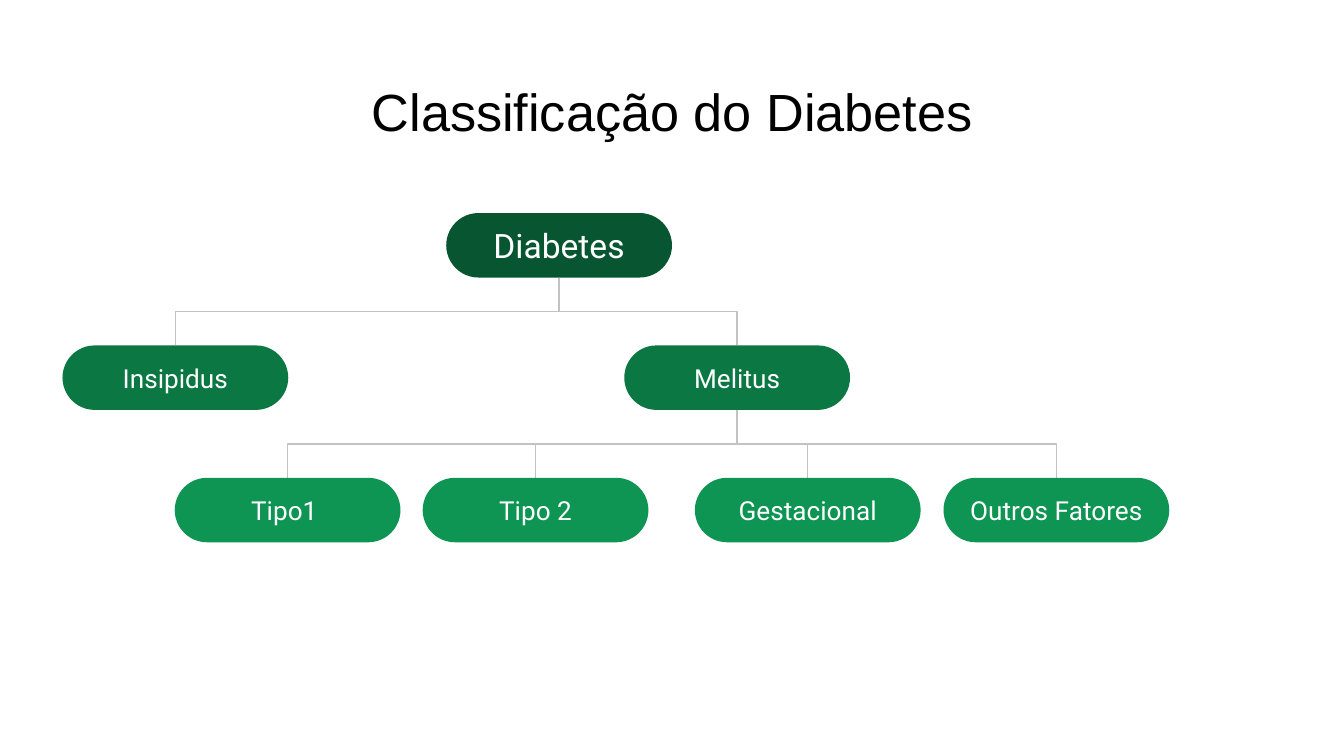
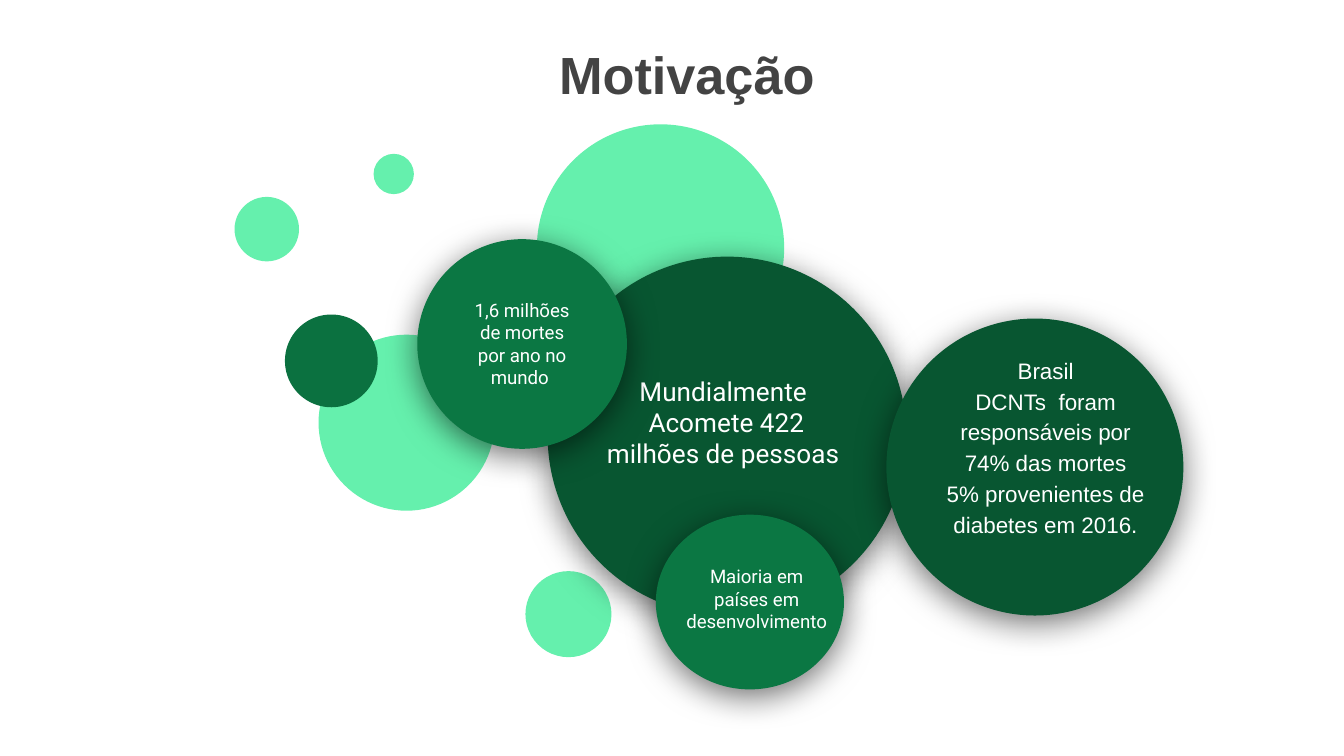
from dataclasses import dataclass

from lxml import etree
from pptx import Presentation
from pptx.dml.color import RGBColor
from pptx.enum.shapes import MSO_CONNECTOR, MSO_SHAPE
from pptx.enum.text import MSO_ANCHOR, PP_ALIGN
from pptx.oxml.ns import qn
from pptx.util import Pt

ELBOW = MSO_CONNECTOR.ELBOW
PILL, CIRCLE = MSO_SHAPE.ROUNDED_RECTANGLE, MSO_SHAPE.OVAL
TOP, MIDDLE = MSO_ANCHOR.TOP, MSO_ANCHOR.MIDDLE
CENTER = PP_ALIGN.CENTER

PX = 4572  # EMU in one px, at 200 px to the inch
PAGE_WIDTH, PAGE_HEIGHT = 2000, 1125
INSET = 20

COLORS = {
    "dark": "085631",
    "medium": "0B7743",
    "light": "0E9453",
    "accent": "0B7140",
    "mint": "65F0AD",
    "line": "C2C2C2",
    "white": "FFFFFF",
    "black": "000000",
    "gray": "434343",
}

PILL_WIDTH, PILL_HEIGHT = 336, 96
TREE_TOP, LEVEL_STEP = 317, 197


@dataclass(frozen=True)
class Box:
    left: int
    top: int
    width: int
    height: int

    def emu(self) -> tuple[int, int, int, int]:
        return self.left * PX, self.top * PX, self.width * PX, self.height * PX


@dataclass(frozen=True)
class TextStyle:
    size: int
    font: str = "Roboto"
    color: str = "white"
    bold: bool = False
    line_spacing: float = 1.0
    indent: int = 0


@dataclass(frozen=True)
class Node:
    label: str
    left: int
    children: tuple["Node", ...] = ()

    @property
    def center(self) -> int:
        return self.left + PILL_WIDTH // 2


@dataclass(frozen=True)
class Dot:
    left: int
    top: int
    size: int
    color: str = "mint"


@dataclass(frozen=True)
class Bubble:
    circle: Box
    color: str
    text_box: Box
    paragraphs: tuple[str, ...]
    style: TextStyle


LEVEL_COLORS = ("dark", "medium", "light")
LEVEL_STYLES = (TextStyle(18), TextStyle(14), TextStyle(14))

DIABETES_TREE = Node("Diabetes", 664, (
    Node("Insipidus", 93),
    Node("Melitus", 929, (
        Node("Tipo1 ", 260),
        Node("Tipo 2", 629),
        Node("Gestacional", 1034),
        Node("Outros Fatores", 1404),
    )),
))

DOTS = (
    Dot(782, 850, 128),
    Dot(349, 293, 96),
    Dot(474, 498, 262),
    Dot(799, 185, 368),
    Dot(424, 468, 138, "accent"),
    Dot(556, 229, 60),
)

BUBBLES = (
    Bubble(Box(815, 382, 534, 534), "dark", Box(877, 501, 408, 254),
           ("Mundialmente ", "Acomete 422 milhões de pessoas "), TextStyle(14)),
    Bubble(Box(621, 356, 312, 312), "medium", Box(671, 408, 212, 206),
           ("1,6 milhões de mortes por ano no mundo ",), TextStyle(10)),
    Bubble(Box(976, 766, 280, 260), "medium", Box(996, 821, 260, 140),
           ("Maioria em países em desenvolvimento",), TextStyle(10)),
    Bubble(Box(1319, 474, 442, 442), "dark", Box(1388, 513, 336, 300),
           ("Brasil", "DCNTs  foram responsáveis por 74% das mortes "
                      "5% provenientes de diabetes em 2016."),
           TextStyle(12, "Arial", line_spacing=1.15)),
)


def rgb(name: str) -> RGBColor:
    return RGBColor.from_string(COLORS[name])


def write_text(shape, paragraphs: tuple[str, ...], style: TextStyle, anchor=MIDDLE) -> None:
    frame = shape.text_frame
    frame.word_wrap = True
    frame.vertical_anchor = anchor
    frame.margin_left = frame.margin_right = INSET * PX
    frame.margin_top = frame.margin_bottom = INSET * PX
    for index, text in enumerate(paragraphs):
        para = frame.add_paragraph() if index else frame.paragraphs[0]
        para.alignment = CENTER
        para.line_spacing = style.line_spacing
        if style.indent:
            properties = para._p.get_or_add_pPr()
            properties.set("marL", "0")
            properties.set("indent", str(style.indent * PX))
        span = para.add_run()
        span.text = text
        span.font.name = style.font
        span.font.size = Pt(style.size)
        span.font.bold = style.bold
        span.font.color.rgb = rgb(style.color)


def add_text(shapes, box: Box, paragraphs: tuple[str, ...], style: TextStyle, anchor=MIDDLE) -> None:
    write_text(shapes.add_textbox(*box.emu()), paragraphs, style, anchor)


def add_title(page, left: int, top: int, text: str, style: TextStyle) -> None:
    add_text(page.shapes, Box(left, top, 1864, 126), (text,), style, TOP)


def add_filled(shapes, preset, box: Box, color: str):
    shape = shapes.add_shape(preset, *box.emu())
    shape.shadow.inherit = False
    shape.fill.solid()
    shape.fill.fore_color.rgb = rgb(color)
    shape.line.fill.background()
    return shape


def add_soft_shadow(shape) -> None:
    effects = shape.element.spPr.find(qn("a:effectLst"))
    shadow = etree.SubElement(effects, qn("a:outerShdw"), blurRad=str(Pt(18)),
                              dist=str(Pt(4)), dir="5400000", rotWithShape="0")
    color = etree.SubElement(shadow, qn("a:srgbClr"), val=COLORS["black"])
    etree.SubElement(color, qn("a:alpha"), val="55000")


def add_branch(page, start_x: int, start_y: int, end_x: int, end_y: int) -> None:
    """Draw a down-across-down elbow: a horizontal elbow turned by 90 degrees."""
    middle_x, middle_y = (start_x + end_x) * PX // 2, (start_y + end_y) * PX // 2
    half_run, half_drop = (end_x - start_x) * PX // 2, (end_y - start_y) * PX // 2
    branch = page.shapes.add_connector(ELBOW, middle_x - half_drop, middle_y + half_run,
                                       middle_x + half_drop, middle_y - half_run)
    branch.line.color.rgb = rgb("line")
    branch.line.width = Pt(0.75)
    properties = branch.element.spPr
    properties.find(qn("a:xfrm")).set("rot", "5400000")
    etree.SubElement(properties, qn("a:effectLst"))


def add_tree(page, node: Node, level: int = 0) -> None:
    top = TREE_TOP + level * LEVEL_STEP
    pill = add_filled(page.shapes, PILL, Box(node.left, top, PILL_WIDTH, PILL_HEIGHT),
                      LEVEL_COLORS[level])
    pill.adjustments[0] = 0.5
    write_text(pill, (node.label,), LEVEL_STYLES[level])
    for child in node.children:
        add_branch(page, node.center, top + PILL_HEIGHT, child.center, top + LEVEL_STEP)
        add_tree(page, child, level + 1)


def add_dots(page) -> None:
    group = page.shapes.add_group_shape()
    for dot in DOTS:
        add_filled(group.shapes, CIRCLE, Box(dot.left, dot.top, dot.size, dot.size), dot.color)


def add_bubble(page, bubble: Bubble) -> None:
    group = page.shapes.add_group_shape()
    add_soft_shadow(add_filled(group.shapes, CIRCLE, bubble.circle, bubble.color))
    add_text(group.shapes, bubble.text_box, bubble.paragraphs, bubble.style)


def build_classification(page) -> None:
    add_tree(page, DIABETES_TREE)
    add_title(page, 68, 98, "Classificação do Diabetes", TextStyle(28, "Arial", "black"))


def build_motivation(page) -> None:
    add_title(page, 40, 29, "Motivação",
              TextStyle(28, "Arial", "gray", bold=True, line_spacing=1.15, indent=100))
    add_dots(page)
    for bubble in BUBBLES:
        add_bubble(page, bubble)


def main() -> None:
    deck = Presentation()
    deck.slide_width, deck.slide_height = PAGE_WIDTH * PX, PAGE_HEIGHT * PX
    blank = deck.slide_layouts[6]
    for build in (build_classification, build_motivation):
        build(deck.slides.add_slide(blank))
    deck.save("out.pptx")


if __name__ == "__main__":
    main()
